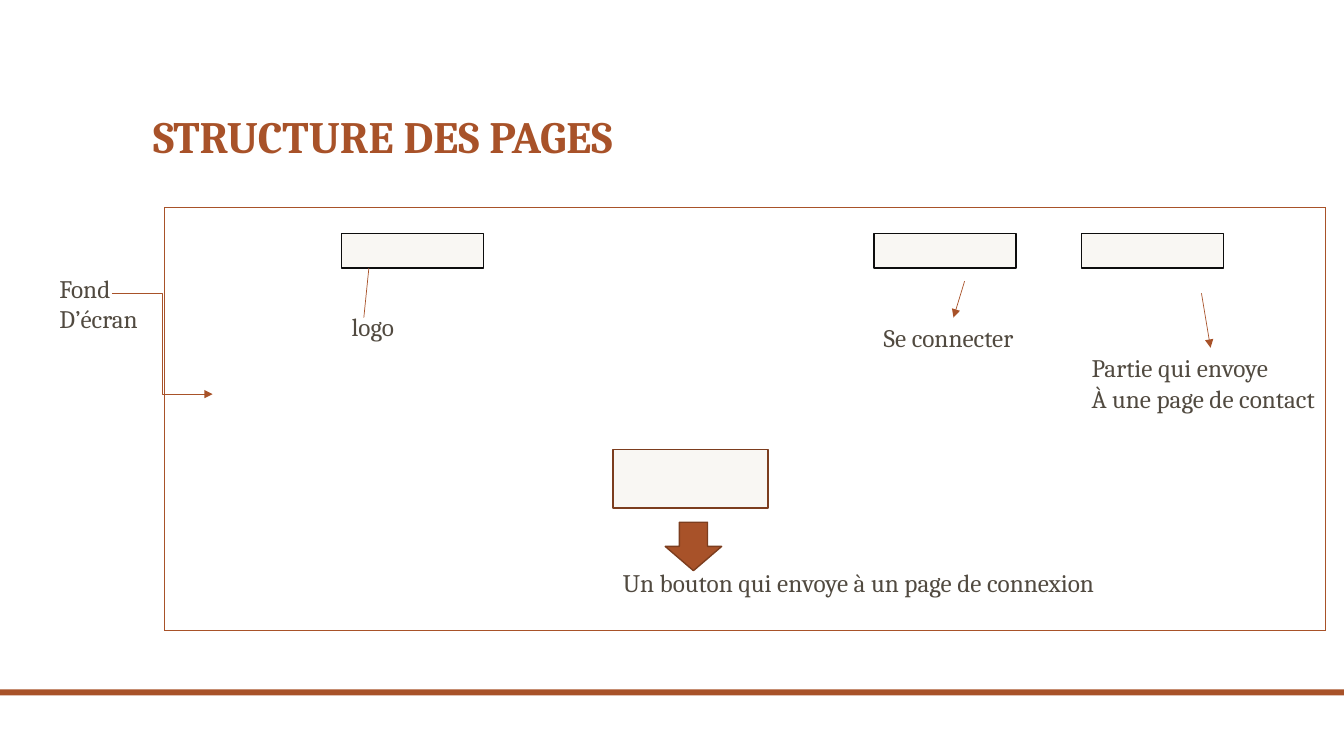
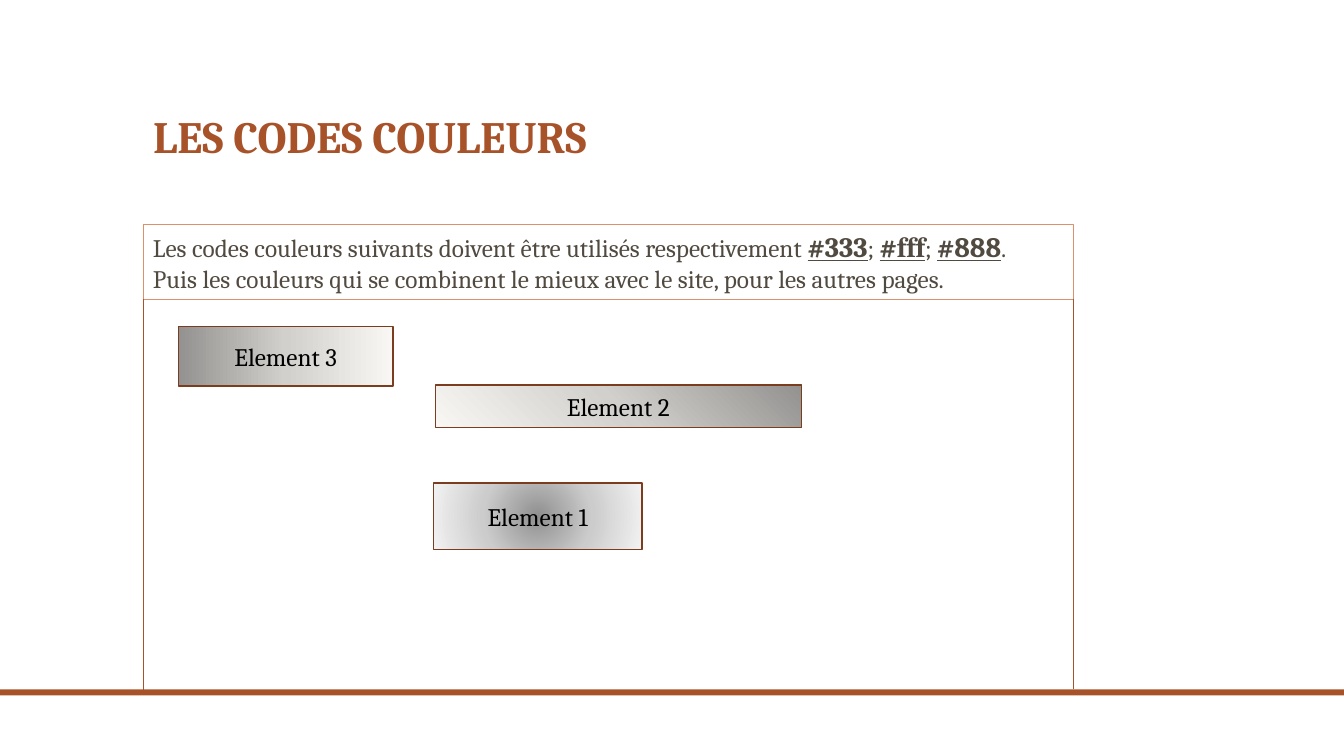
from lxml import etree
from pptx import Presentation
from pptx.dml.color import RGBColor
from pptx.enum import shapes, text
from pptx.oxml import parse_xml
from pptx.oxml import ns
from pptx.util import Pt

RUST, BROWN, INK, PALE = "A85229", "7C3D1E", "514A40", "F9F7F3"
FONT = "Cambria"
RECT = shapes.MSO_SHAPE.RECTANGLE


def tint(code):
    return RGBColor.from_string(code)


def write(shape, lines, size=18, color=INK, bold=False, align=None,
          anchor="TOP", wrap=True, space=None):
    frame = shape.text_frame
    frame.word_wrap = wrap
    frame.vertical_anchor = text.MSO_ANCHOR[anchor]
    frame.auto_size = text.MSO_AUTO_SIZE["NONE" if wrap else "SHAPE_TO_FIT_TEXT"]
    for row, line in enumerate(lines):
        para = frame.add_paragraph() if row else frame.paragraphs[0]
        para.alignment = align
        para.line_spacing = space
        for part, words in enumerate(line.split("*")):
            strong = part % 2 == 1
            run = para.add_run()
            run.text = words
            font = run.font
            font.name = FONT
            font.size = Pt(size + 2 * strong)
            font.bold = bold or strong
            font.underline = strong
            font.color.rgb = tint(color)


deck = Presentation()
deck.slide_width, deck.slide_height = Pt(960), Pt(540)
layout = deck.slide_layouts[5]

pages = []
for name in ("STRUCTURE DES PAGES", "LES CODES COULEURS"):
    page = deck.slides.add_slide(layout)
    title = page.shapes.title
    title.left, title.top, title.width, title.height = map(Pt, (102.2, 30.2, 756, 90))
    write(title, [name], size=32, color=RUST, bold=True, anchor="BOTTOM",
          align=text.PP_ALIGN.LEFT, space=0.9)
    pages.append(page)
plan, codes = pages

band = plan.shapes.add_shape(RECT, 0, Pt(492.5), Pt(960), Pt(4.3))
band.shadow.inherit = False
band.fill.solid()
band.fill.fore_color.rgb = tint(RUST)
band.line.fill.background()
layout.shapes.element.append(band.element)

TAB = (101.5, 24.5)
for kind, x, y, w, h, fill, edge in (
    (RECT, 772.6, 167, *TAB, PALE, "0D0D0D"),
    (RECT, 624.2, 167, *TAB, PALE, "0D0D0D"),
    (RECT, 244.1, 167, *TAB, PALE, "0D0D0D"),
    (RECT, 437.8, 321.1, 110.9, 41.8, PALE, BROWN),
    (shapes.MSO_SHAPE.DOWN_ARROW, 475.2, 373, 40.3, 34.6, RUST, BROWN),
):
    box = plan.shapes.add_shape(kind, Pt(x), Pt(y), Pt(w), Pt(h))
    box.shadow.inherit = False
    box.fill.solid()
    box.fill.fore_color.rgb = tint(fill)
    box.line.color.rgb = tint(edge)
    box.line.width = Pt(1)

for x, y, w, h, lines in (
    (244.1, 218.9, 47.5, 28.8, ["logo"]),
    (624.2, 226.8, 113, 28.8, ["Se connecter"]),
    (772.6, 248.4, 183.6, 51.1, ["Partie qui envoye", "À une page de contact"]),
    (437.8, 401.8, 367.9, 28.8, ["Un bouton qui envoye à un page de connexion"]),
    (35.3, 191.5, 73.4, 51.1, ["Fond", "D’écran"]),
):
    label = plan.shapes.add_textbox(Pt(x), Pt(y), Pt(w), Pt(h))
    write(label, lines, wrap=False)

intro = codes.shapes.add_textbox(Pt(102.2), Pt(160.6), Pt(664.3), Pt(53.3))
intro.line.color.rgb = tint("DC916E")
intro.line.width = Pt(0.75)
write(intro, [
    "Les codes couleurs suivants doivent être utilisés respectivement "
    "*#333*; *#fff*; *#888*.",
    "Puis les couleurs qui se combinent le mieux avec le site, pour les autres pages.",
], wrap=False)

GRAY = ("909090", "CCCCCC", "F2F2F2")
WARM = ("949290", "D2D0CC", PALE)
MID = '<a:path path="circle"><a:fillToRect l="50000" t="50000" r="50000" b="50000"/></a:path>'
EDGE = '<a:path path="circle"><a:fillToRect l="100000" b="100000"/></a:path>'
FLAT = '<a:lin ang="0" scaled="0"/>'
for num, x, y, w, h, shades, flow in (
    (1, 309.6, 344.9, 149, 47.5, GRAY, MID),
    (2, 311, 275, 261.4, 30.2, WARM, EDGE),
    (3, 127.4, 233.3, 153.4, 42.5, WARM, FLAT),
):
    box = codes.shapes.add_shape(RECT, Pt(x), Pt(y), Pt(w), Pt(h))
    box.shadow.inherit = False
    box.line.color.rgb = tint(BROWN)
    box.line.width = Pt(1)
    box.fill.gradient()
    stops = "".join(
        f'<a:gs pos="{step * 50000}"><a:srgbClr val="{shade}"/></a:gs>'
        for step, shade in enumerate(shades))
    blend = parse_xml(
        f'<a:gradFill {ns.nsdecls("a")} rotWithShape="1">'
        f'<a:gsLst>{stops}</a:gsLst>{flow}</a:gradFill>')
    props = box.element.spPr
    props.replace(props.find(ns.qn("a:gradFill")), blend)
    write(box, [f"Element {num}"], color="000000", anchor="MIDDLE",
          align=text.PP_ALIGN.CENTER)

LEFT, TOP, RIGHT, BASE = 117.4, 148, 946.8, 450
for page, kind, x1, y1, x2, y2, head in (
    (plan, "STRAIGHT", LEFT, TOP, LEFT, BASE, False),
    (plan, "STRAIGHT", LEFT, TOP, RIGHT, TOP, False),
    (plan, "STRAIGHT", LEFT, BASE, RIGHT, BASE, False),
    (plan, "STRAIGHT", RIGHT, TOP, RIGHT, BASE, False),
    (plan, "STRAIGHT", 259.9, 226.8, 263.5, 191.5, False),
    (plan, "STRAIGHT", 858.2, 209.5, 864.7, 248.4, True),
    (plan, "STRAIGHT", 689, 200.9, 681.1, 226.8, True),
    (plan, "ELBOW", 79.9, 209.5, 151.9, 281.5, True),
    (codes, "STRAIGHT", 102.2, 213.8, 102.2, 493, False),
    (codes, "STRAIGHT", 766.4, 213.8, 766.4, 492, False),
):
    link = page.shapes.add_connector(
        shapes.MSO_CONNECTOR[kind], Pt(x1), Pt(y1), Pt(x2), Pt(y2))
    link.line.color.rgb = tint(RUST)
    link.line.width = Pt(0.5)
    props = link.element.spPr
    etree.SubElement(props, ns.qn("a:effectLst"))
    if head:
        etree.SubElement(props.find(ns.qn("a:ln")), ns.qn("a:tailEnd"), type="triangle")

deck.save("out.pptx")
